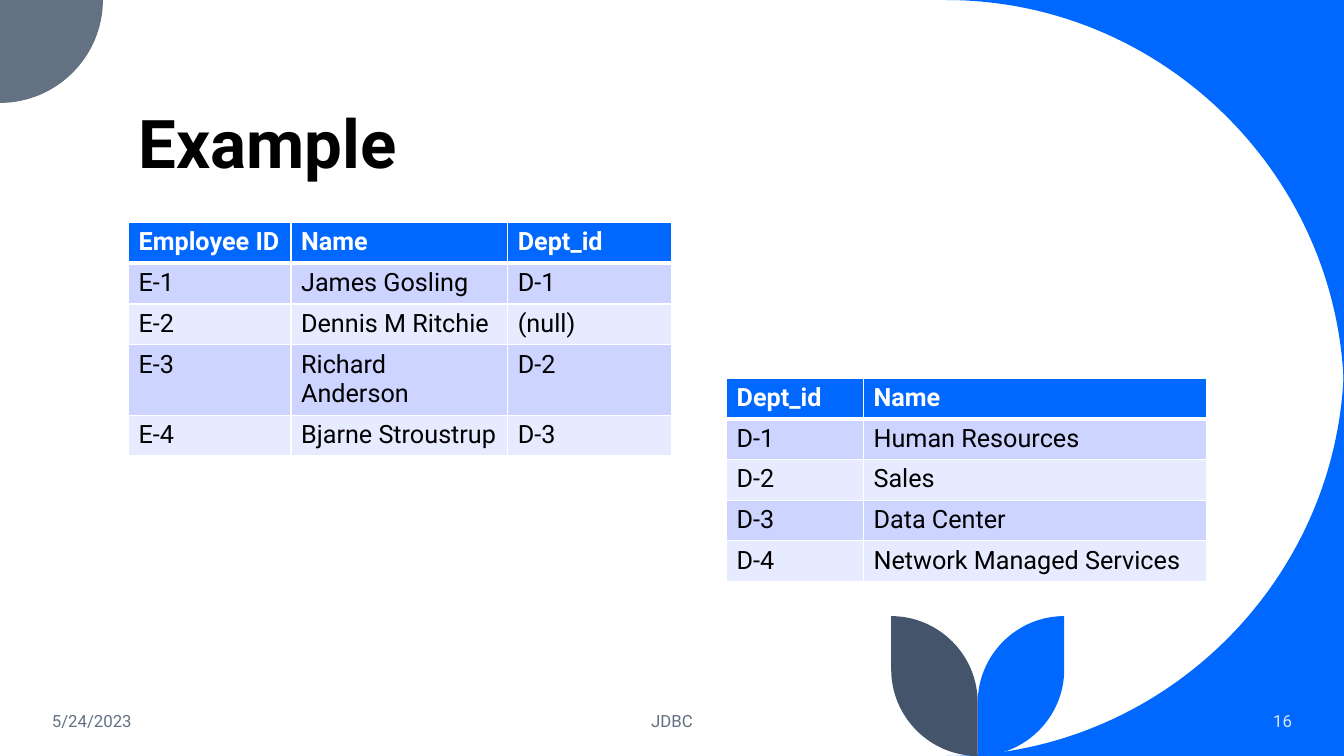
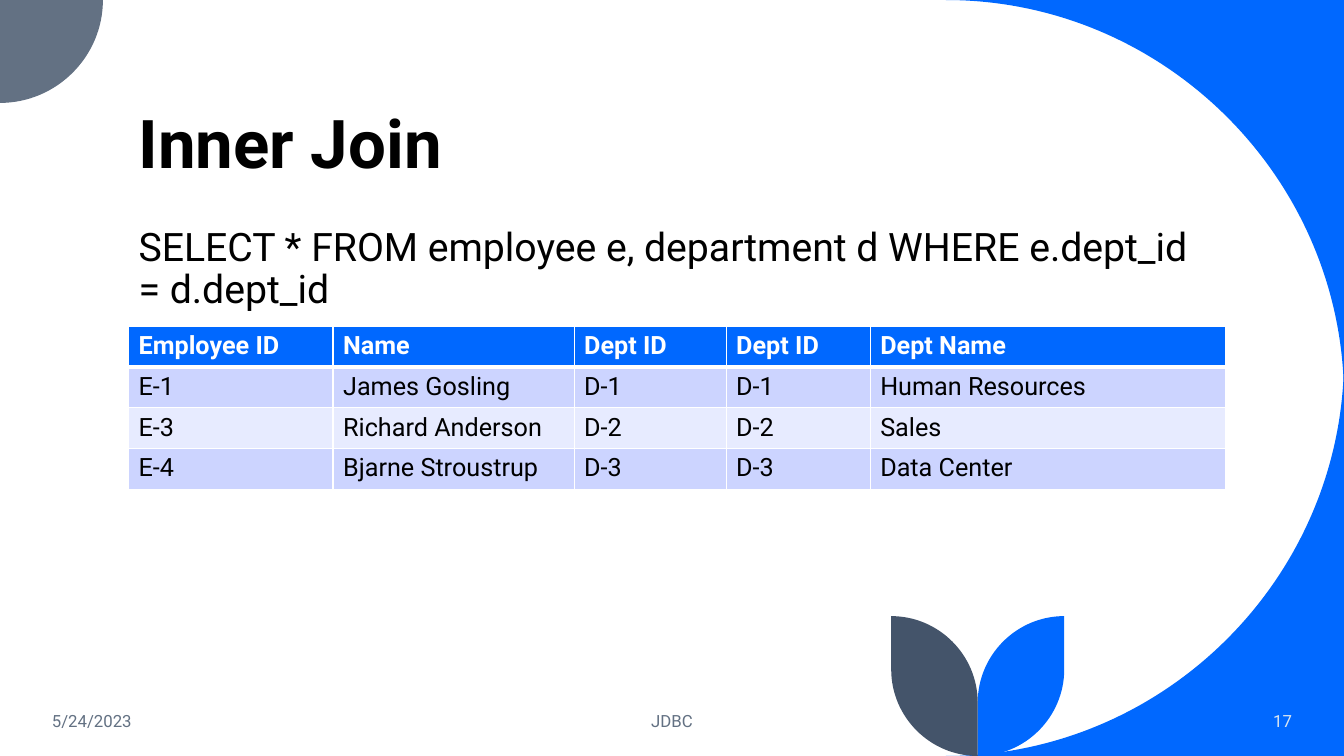
from dataclasses import dataclass

import lxml.etree
import pptx
import pptx.dml.color
import pptx.enum.text
import pptx.oxml.ns
import pptx.util

ANCHOR = pptx.enum.text.MSO_ANCHOR
ALIGN = pptx.enum.text.PP_ALIGN
QUALIFIED = pptx.oxml.ns.qn

# The slide is a grid of square units, 32 columns by 18 rows.
COLUMNS, ROWS = 32, 18
UNIT = pptx.util.Inches(7.5) / ROWS
ROUNDNESS = 0.55  # share of the way to the corner that makes a quarter circle


@dataclass(frozen=True)
class Theme:
    font: str = "Roboto"
    blue: str = "0068FF"
    slate: str = "44546A"
    gray: str = "637183"
    pale: str = "DAE5EF"
    white: str = "FFFFFF"
    black: str = "000000"
    bands: tuple = ("CCD4FF", "E7EBFF")
    title_size: int = 48
    body_size: int = 28
    table_size: int = 18
    footer_size: int = 12
    thin_border: int = 1
    header_border: int = 3


@dataclass(frozen=True)
class Box:
    """A rectangle in grid units."""
    left: float
    top: float
    width: float
    height: float

    def emu(self):
        return [units(n) for n in (self.left, self.top, self.width, self.height)]


THEME = Theme()
TITLE_BOX = Box(3.06, 1, 25.66, 3.48)
BODY_BOX = Box(3.06, 5.3, 25.66, 8.83)
FOOTER_BOX = Box(1, 16.68, 30, 0.96)
TABLE_ROW = 0.97

EMPLOYEES = [
    ("Employee ID", "Name", "Dept_id"),
    ("E-1", "James Gosling", "D-1"),
    ("E-2", "Dennis M Ritchie", "(null)"),
    ("E-3", "Richard Anderson", "D-2"),
    ("E-4", "Bjarne Stroustrup", "D-3"),
]
DEPARTMENTS = [
    ("Dept_id", "Name"),
    ("D-1", "Human Resources"),
    ("D-2", "Sales"),
    ("D-3", "Data Center"),
    ("D-4", "Network Managed Services"),
]
JOINED = [
    ("Employee ID", "Name", "Dept ID", "Dept ID", "Dept Name"),
    ("E-1", "James Gosling", "D-1", "D-1", "Human Resources"),
    ("E-3", "Richard Anderson", "D-2", "D-2", "Sales"),
    ("E-4", "Bjarne Stroustrup", "D-3", "D-3", "Data Center"),
]


def units(count):
    return pptx.util.Emu(round(count * UNIT))


def rgb(color):
    return pptx.dml.color.RGBColor.from_string(color)


def write(frame, text, *, size, color=THEME.black, bold=False, align=ALIGN.LEFT,
          anchor=ANCHOR.TOP, line_spacing=None, bullet=True):
    frame.word_wrap = True
    frame.vertical_anchor = anchor
    para = frame.paragraphs[0]
    para.alignment = align
    para.space_before = pptx.util.Pt(0)
    if line_spacing:
        para.line_spacing = line_spacing
    if not bullet:
        properties = para._p.get_or_add_pPr()
        properties.set("marL", "0")
        properties.set("indent", "0")
        lxml.etree.SubElement(properties, QUALIFIED("a:buNone"))
    span = para.add_run()
    span.text = text
    span.font.name = THEME.font
    span.font.size = pptx.util.Pt(size)
    span.font.bold = bold
    span.font.color.rgb = rgb(color)


def bend(shape, line, start, corner, end):
    """Turn a straight segment into a quarter circle that leans towards corner."""
    controls = [tuple(a + ROUNDNESS * (b - a) for a, b in zip(tip, corner))
                for tip in (start, end)]
    curve = lxml.etree.Element(QUALIFIED("a:cubicBezTo"))
    for x, y in (*controls, end):
        lxml.etree.SubElement(curve, QUALIFIED("a:pt"), x=str(units(x) - shape.left),
                              y=str(units(y) - shape.top))
    line.getparent().replace(line, curve)


def add_outline(page, points, corners, color):
    """Draw a closed outline; corners maps the index of a curve's end to its corner."""
    places = [(units(x), units(y)) for x, y in points]
    builder = page.shapes.build_freeform(*places[0], scale=1.0)
    builder.add_line_segments(places[1:], close=True)
    shape = builder.convert_to_shape()
    lines = list(shape.element.iter(QUALIFIED("a:lnTo")))
    for index, corner in corners.items():
        bend(shape, lines[index - 1], points[index - 1], corner, points[index])
    shape.shadow.inherit = False
    shape.fill.solid()
    shape.fill.fore_color.rgb = rgb(color)
    shape.line.fill.background()
    return shape


def add_leaf(page, stem, side, top, radius, color):
    """A leaf standing on the lower edge; side is 1 right of the stem, -1 left."""
    tip = stem + side * radius
    points = [(tip, top), (tip, ROWS - radius), (stem, ROWS), (stem, top + radius), (tip, top)]
    return add_outline(page, points, {2: (tip, ROWS), 4: (stem, top)}, color)


def add_decoration(page, sweep=9.48, corner=2.45):
    left = COLUMNS - sweep
    shapes = [
        add_outline(page, [(COLUMNS, edge), (left, edge), (COLUMNS, inner)],
                    {2: (COLUMNS, edge)}, THEME.blue)
        for edge, inner in ((0, sweep), (ROWS, ROWS - sweep))
    ]
    # The curve runs through the far corner of its own square.
    shapes.append(add_outline(page, [(0, 0), (corner, 0), (0, corner)],
                              {2: (corner, corner)}, THEME.gray))
    for side, color in ((1, THEME.blue), (-1, THEME.slate)):
        shapes.append(add_leaf(page, 23.28, side, 14.67, 2.06, color))
    return shapes


def decorate_master(deck, page):
    """Draw the decoration with the page's tools and move it to the slide master."""
    tree = deck.slide_master.shapes.element
    for number, shape in enumerate(add_decoration(page), start=20):
        shape.element.nvSpPr.cNvPr.set("id", str(number))
        tree.append(shape.element)


def add_footer(page, box, number):
    parts = (
        ("5/24/2023", 0, 7.2, ALIGN.LEFT, THEME.gray),
        ("JDBC", 9.6, 10.8, ALIGN.CENTER, THEME.gray),
        (str(number), 25.64, 4.36, ALIGN.RIGHT, THEME.pale),
    )
    for text, offset, width, align, color in parts:
        place = Box(box.left + offset, box.top, width, box.height)
        frame = page.shapes.add_textbox(*place.emu()).text_frame
        write(frame, text, size=THEME.footer_size, color=color, align=align,
              anchor=ANCHOR.MIDDLE)


def fill_placeholder(holder, box, text, **style):
    holder.left, holder.top, holder.width, holder.height = box.emu()
    holder.text_frame.auto_size = pptx.enum.text.MSO_AUTO_SIZE.NONE
    write(holder.text_frame, text, line_spacing=0.9, **style)


def set_borders(cell, top, bottom):
    """White lines round a cell, with the top and bottom widths in points."""
    properties = cell._tc.get_or_add_tcPr()
    widths = {"lnL": THEME.thin_border, "lnR": THEME.thin_border, "lnT": top, "lnB": bottom}
    for tag, width in widths.items():
        line = lxml.etree.SubElement(properties, QUALIFIED(f"a:{tag}"),
                                     w=str(pptx.util.Pt(width)))
        fill = lxml.etree.SubElement(line, QUALIFIED("a:solidFill"))
        lxml.etree.SubElement(fill, QUALIFIED("a:srgbClr"), val=THEME.white)


def add_data_table(page, left, top, widths, records):
    box = Box(left, top, sum(widths), TABLE_ROW * len(records))
    table = page.shapes.add_table(len(records), len(widths), *box.emu()).table
    for column, width in zip(table.columns, widths):
        column.width = units(width)
    for r, record in enumerate(records):
        table.rows[r].height = units(TABLE_ROW)
        header = r == 0
        fill = THEME.blue if header else THEME.bands[(r - 1) % 2]
        upper = THEME.header_border if r == 1 else THEME.thin_border
        lower = THEME.header_border if header else THEME.thin_border
        for c, text in enumerate(record):
            cell = table.cell(r, c)
            set_borders(cell, upper, lower)
            cell.fill.solid()
            cell.fill.fore_color.rgb = rgb(fill)
            write(cell.text_frame, text, size=THEME.table_size, bold=header,
                  color=THEME.white if header else THEME.black)


def add_page(deck, layout, title, number):
    page = deck.slides.add_slide(deck.slide_layouts.get_by_name(layout))
    fill_placeholder(page.shapes.title, TITLE_BOX, title, size=THEME.title_size,
                     bold=True, anchor=ANCHOR.BOTTOM)
    add_footer(page, FOOTER_BOX, number)
    return page


def add_example_page(deck):
    page = add_page(deck, "Title Only", "Example", 16)
    add_data_table(page, BODY_BOX.left, BODY_BOX.top, (3.87, 5.16, 3.91), EMPLOYEES)
    add_data_table(page, 17.3, 9, (3.26, 8.16), DEPARTMENTS)
    return page


def add_join_page(deck):
    page = add_page(deck, "Title and Content", "Inner Join", 17)
    fill_placeholder(page.placeholders[1], BODY_BOX,
                     "SELECT * FROM employee e, department d WHERE e.dept_id = d.dept_id",
                     size=THEME.body_size, bullet=False)
    add_data_table(page, BODY_BOX.left, 7.77, (4.87, 5.74, 3.62, 3.43, 8.47), JOINED)


def main():
    deck = pptx.Presentation()
    deck.slide_width, deck.slide_height = units(COLUMNS), units(ROWS)
    decorate_master(deck, add_example_page(deck))
    add_join_page(deck)
    deck.save("out.pptx")


if __name__ == "__main__":
    main()
